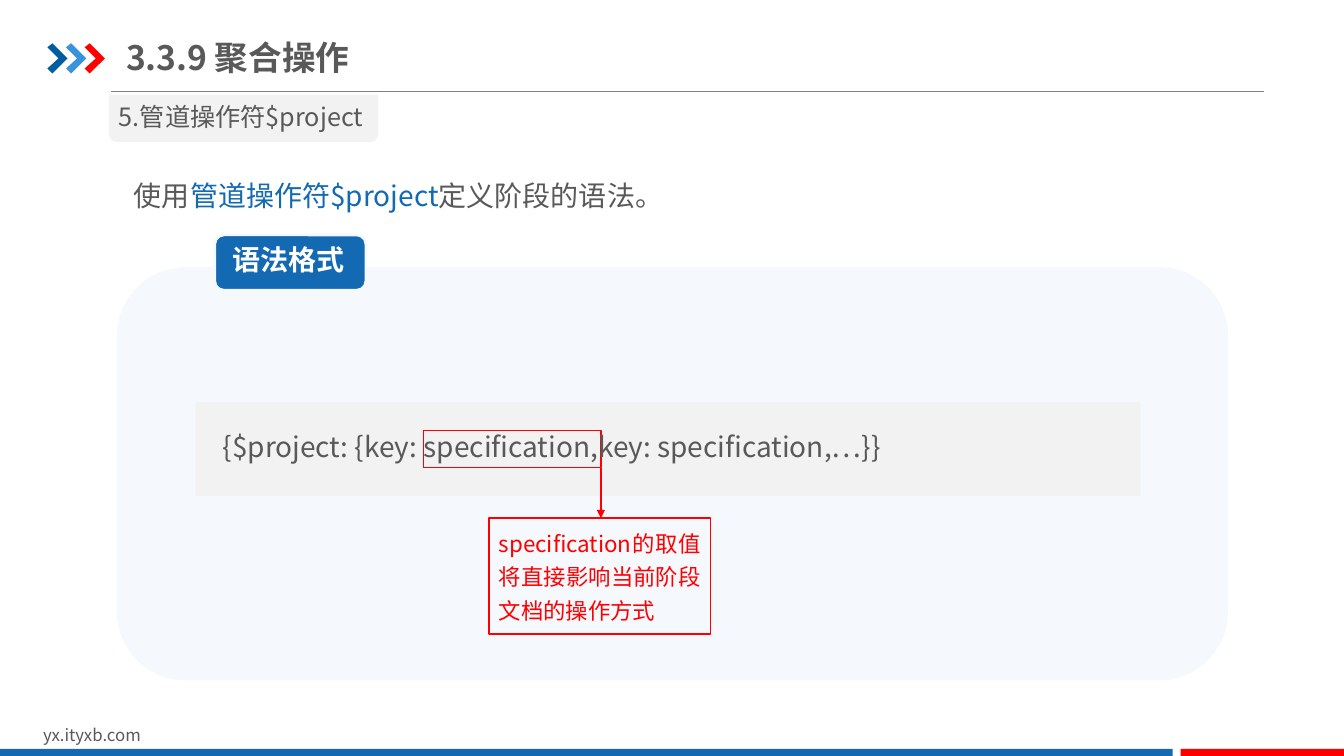
from pptx import Presentation
from pptx import util as u
from pptx.dml.color import RGBColor
from pptx.enum import shapes, text
from pptx.oxml.ns import qn
from lxml import etree

THEME = {
    "font": "Noto Sans CJK SC",
    "gray": "595959", "rule": "808080", "pale": "F2F2F2", "panel": "F5F8FD",
    "blue": "1369B2", "navy": "005DA2", "sky": "3992DB",
    "red": "FF0000", "white": "FFFFFF",
    "title": 24, "body": 20, "sub": 18, "note": 16, "foot": 12,
}

KIND = shapes.MSO_SHAPE
LEFT, JUST = text.PP_ALIGN.LEFT, text.PP_ALIGN.JUSTIFY

TITLE = [("3.3.9 聚合操作", "gray")]
CHEVRONS = ["navy", "sky", "red"]
CHEVRON = [(0, 0.04), (0.05, 0), (0.2, 0.15), (0.05, 0.3), (0, 0.25), (0.11, 0.15)]
MARK = (4.2, 4.27, 1.76, 0.37)
NOTE = (4.85, 5.14, 2.2, 1.15)

# kind, box, fill, line, line width, turn
BLOCKS = [
    (KIND.RECTANGLE, (0, 7.43, 11.63, 0.09), "blue", None, 0, 0),
    (KIND.RECTANGLE, (11.71, 7.43, 1.63, 0.09), "red", None, 0, 0),
    (KIND.ROUNDED_RECTANGLE, (1.16, 2.65, 11.02, 4.1), "panel", None, 0, 0),
    (KIND.RECTANGLE, (1.94, 3.99, 9.37, 0.93), "pale", None, 0, 0),
    (KIND.ROUND_2_SAME_RECTANGLE, (1.08, 0.94, 2.67, 0.47), "pale", None, 0, 180),
    (KIND.RECTANGLE, MARK, None, "red", 1, 0),
    (KIND.RECTANGLE, NOTE, None, "red", 1, 0),
    (KIND.ROUNDED_RECTANGLE, (2.13, 2.33, 1.5, 0.55), "blue", "panel", 2, 0),
]

# box, runs, size, bold, align, line spacing
LABELS = [
    ((0.33, 7.14, 3.18, 0.3), [("yx.ityxb.com", "gray")], "foot", False, LEFT, 1),
    ((2.11, 4.21, 7.17, 0.44),
     [("{$project: {key: specification,key: specification,…}}", "gray")],
     "body", False, LEFT, 1),
    ((1.23, 1.62, 5.6, 0.5),
     [("使用", "gray"), ("管道操作符$project", "blue"), ("定义阶段的语法。", "gray")],
     "body", False, JUST, 1.3),
    ((1.08, 0.96, 2.98, 0.4), [("5.管道操作符$project", "gray")], "sub", False, LEFT, 1),
    ((4.85, 5.14, 2.2, 1.08), [("specification的取值将直接影响当前阶段文档的操作方式", "red")],
     "note", False, JUST, 1.25),
    ((2.21, 2.36, 1.5, 0.44), [("语法格式", "white")], "body", True, LEFT, 1),
]


def color(name):
    return RGBColor.from_string(THEME[name])


def inches(nums):
    return [u.Inches(n) for n in nums]


def paint(shape, fill, line=None, width=0):
    shape.shadow.inherit = False
    if fill:
        shape.fill.solid()
        shape.fill.fore_color.rgb = color(fill)
    else:
        shape.fill.background()
    if line:
        shape.line.color.rgb = color(line)
        shape.line.width = u.Pt(width)
    else:
        shape.line.fill.background()


def write(frame, runs, size, bold, align, gap):
    frame.word_wrap = True
    para = frame.paragraphs[0]
    para.alignment, para.line_spacing = align, gap
    for words, tint in runs:
        run = para.add_run()
        run.text = words
        font = run.font
        font.size, font.bold, font.name = u.Pt(THEME[size]), bold, THEME["font"]
        font.color.rgb = color(tint)
        east = etree.SubElement(run._r.get_or_add_rPr(), qn("a:ea"))
        east.set("typeface", THEME["font"])


def connect(slide, ends, tint, width, arrow=False):
    line = slide.shapes.add_connector(shapes.MSO_CONNECTOR.STRAIGHT, *inches(ends))
    line.line.color.rgb = color(tint)
    line.line.width = u.Pt(width)
    if arrow:
        etree.SubElement(line.line._get_or_add_ln(), qn("a:tailEnd"), type="triangle")
    etree.SubElement(line._element.spPr, qn("a:effectLst"))


def add_title(slide):
    title = slide.shapes.title
    title.left, title.top, title.width, title.height = inches((1.25, 0.29, 2.5, 0.55))
    frame = title.text_frame
    frame.auto_size = text.MSO_AUTO_SIZE.NONE
    frame.vertical_anchor = text.MSO_ANCHOR.MIDDLE
    frame.margin_left = frame.margin_right = 0
    frame.margin_top = frame.margin_bottom = u.Inches(0.07)
    write(frame, TITLE, "title", True, LEFT, 1)


def add_chevrons(slide):
    for i, tint in enumerate(CHEVRONS):
        left = 0.47 + i * 0.185
        points = [tuple(inches((left + x, 0.43 + y))) for x, y in CHEVRON]
        outline = slide.shapes.build_freeform(*points[0], scale=1.0)
        outline.add_line_segments(points[1:], close=True)
        paint(outline.convert_to_shape(), tint)


def main():
    deck = Presentation()
    deck.slide_width, deck.slide_height = inches((13.33, 7.5))
    slide = deck.slides.add_slide(deck.slide_layouts[5])
    add_title(slide)
    connect(slide, (1.1, 0.91, 12.54, 0.91), "rule", 0.75)
    add_chevrons(slide)
    for kind, box, fill, line, width, turn in BLOCKS:
        block = slide.shapes.add_shape(kind, *inches(box))
        block.rotation = turn
        paint(block, fill, line, width)
    edge = MARK[0] + MARK[2]
    connect(slide, (edge, MARK[1] + MARK[3], edge, NOTE[1]), "red", 1, arrow=True)
    for box, *style in LABELS:
        write(slide.shapes.add_textbox(*inches(box)).text_frame, *style)
    deck.save("out.pptx")


if __name__ == "__main__":
    main()
